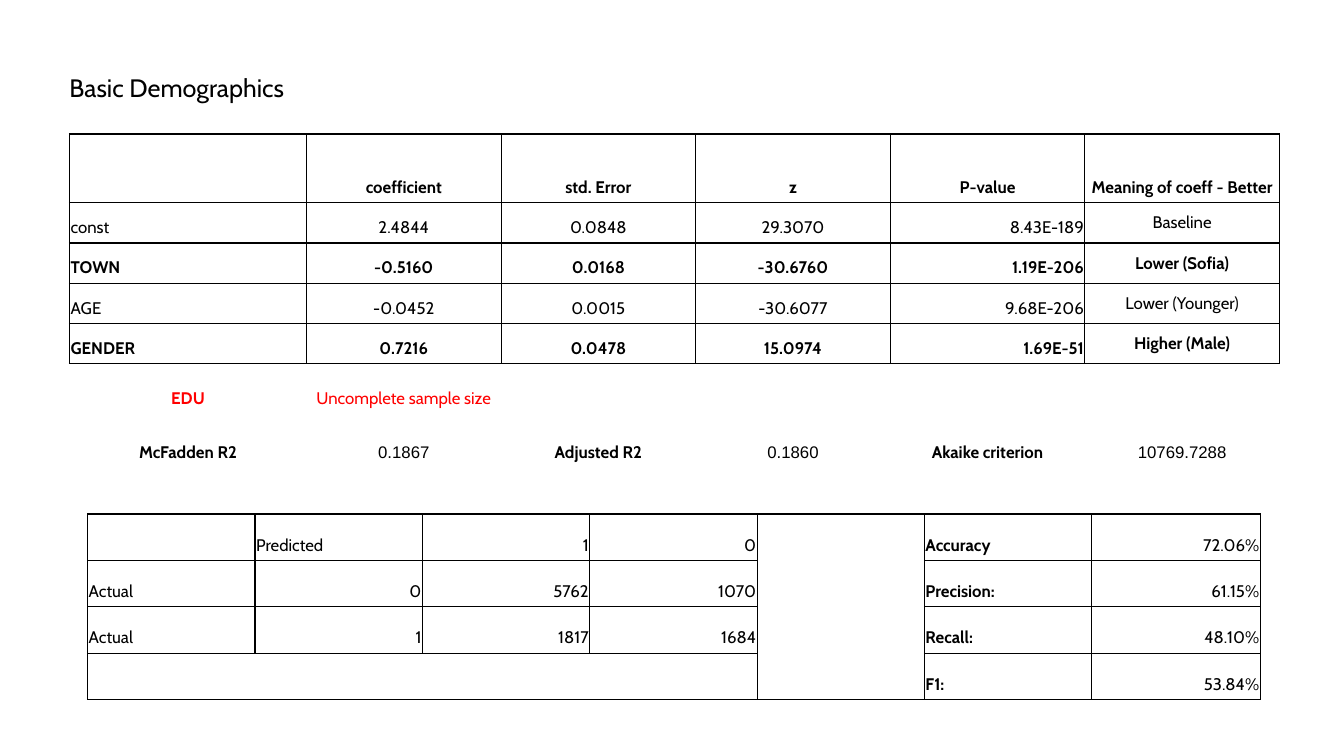
from pptx import Presentation
from pptx.dml.color import RGBColor
from pptx.enum.text import MSO_ANCHOR as Anchor, MSO_AUTO_SIZE as Fit, PP_ALIGN as Align
from pptx.oxml.ns import qn
from pptx.util import Pt
from lxml.etree import SubElement

SCALE = 9144
STATS = [
    ["", "coefficient", "std. Error", "z", "P-value", "Meaning of coeff - Better"],
    ["const", "2.4844", "0.0848", "29.3070", "8.43E-189", "Baseline"],
    ["TOWN", "-0.5160", "0.0168", "-30.6760", "1.19E-206", "Lower (Sofia)"],
    ["AGE", "-0.0452", "0.0015", "-30.6077", "9.68E-206", "Lower (Younger)"],
    ["GENDER", "0.7216", "0.0478", "15.0974", "1.69E-51", "Higher (Male)"],
    ["EDU", "Uncomplete sample size", "", "", "", ""],
    ["McFadden R2", "0.1867", "Adjusted R2", "0.1860", "Akaike criterion", "10769.7288"],
]
SCORES = [
    ["", "Predicted", "1", "0", "", "Accuracy", "72.06%"],
    ["Actual", "0", "5762", "1070", "", "Precision:", "61.15%"],
    ["Actual", "1", "1817", "1684", "", "Recall:", "48.10%"],
    ["", "", "", "", "", "F1:", "53.84%"],
]


def px(n):
    return n * SCALE


def tint(code):
    return RGBColor.from_string(code)


def write(frame, text, size=12, font="Cabin", color="000000", bold=False, align=Align.LEFT):
    para = frame.paragraphs[0]
    para.alignment = align
    run = para.add_run()
    run.text = text
    run.font.size = Pt(size)
    run.font.name = font
    run.font.bold = bold
    run.font.color.rgb = tint(color)


class Deck:
    ink = "000000"
    rule = Pt(0.96)

    def __init__(self, wide, high):
        self.file = Presentation()
        self.file.slide_width = px(wide)
        self.file.slide_height = px(high)
        self.slide = self.file.slides.add_slide(self.file.slide_layouts[6])

    def label(self, text, left, top, wide, high, **style):
        frame = self.slide.shapes.add_textbox(px(left), px(top), px(wide), px(high)).text_frame
        frame.word_wrap = True
        frame.auto_size = Fit.SHAPE_TO_FIT_TEXT
        write(frame, text, **style)

    def edge(self, cell, sides):
        props = cell._tc.get_or_add_tcPr()
        for side in "LRTB":
            line = SubElement(props, qn(f"a:ln{side}"), w=str(self.rule))
            if side in sides:
                fill = SubElement(line, qn("a:solidFill"))
                SubElement(fill, qn("a:srgbClr"), val=self.ink)
            else:
                SubElement(line, qn("a:noFill"))

    def grid(self, rows, left, top, widths, heights, look):
        table = self.slide.shapes.add_table(
            len(rows), len(widths), px(left), px(top), px(sum(widths)), px(sum(heights))
        ).table
        table.first_row = table.horz_banding = False
        for col, wide in zip(table.columns, widths):
            col.width = px(wide)
        for row, high in zip(table.rows, heights):
            row.height = px(high)
        for r, row in enumerate(rows):
            for c, text in enumerate(row):
                cell = table.cell(r, c)
                sides, anchor, style = look(r, c)
                cell.margin_left = cell.margin_right = px(1)
                cell.margin_top = cell.margin_bottom = px(5)
                cell.vertical_anchor = anchor
                self.edge(cell, sides)
                cell.fill.background()
                write(cell.text_frame, text, **style)
        return table

    def save(self):
        self.file.save("out.pptx")


def stat(r, c):
    sides = "LRTB" if r < 5 else "T" if r == 5 else ""
    middle = r > 4 or (r > 0 and c == 5)
    align = Align.CENTER
    if 0 < r < 5:
        align = {0: Align.LEFT, 4: Align.RIGHT}.get(c, Align.CENTER)
    style = dict(
        bold=r in (0, 2, 4) or (r == 5 and c == 0) or (r == 6 and c % 2 == 0),
        color="FF0000" if r == 5 else "000000",
        font="Arial" if r == 6 and c % 2 else "Cabin",
        align=align,
    )
    return sides, Anchor.MIDDLE if middle else Anchor.BOTTOM, style


def score(r, c):
    sides = "LRTB"
    if c == 4:
        sides = {0: "LRT", 3: "LRB"}.get(r, "LR")
    start = c in (0, 5) or (r == 0 and c == 1)
    style = dict(bold=c == 5, align=Align.LEFT if start else Align.RIGHT)
    return sides, Anchor.BOTTOM, style


def main():
    deck = Deck(1333, 750)
    deck.label("Basic Demographics", 59, 67, 1031, 40, size=18)
    deck.grid(STATS, 69, 133, [235] + [193] * 5, [68] + [40] * 4 + [68, 40], stat)
    table = deck.grid(SCORES, 87, 510, [166] * 6 + [167], [46] * 4, score)
    table.cell(3, 0).merge(table.cell(3, 3))
    deck.save()


if __name__ == "__main__":
    main()
